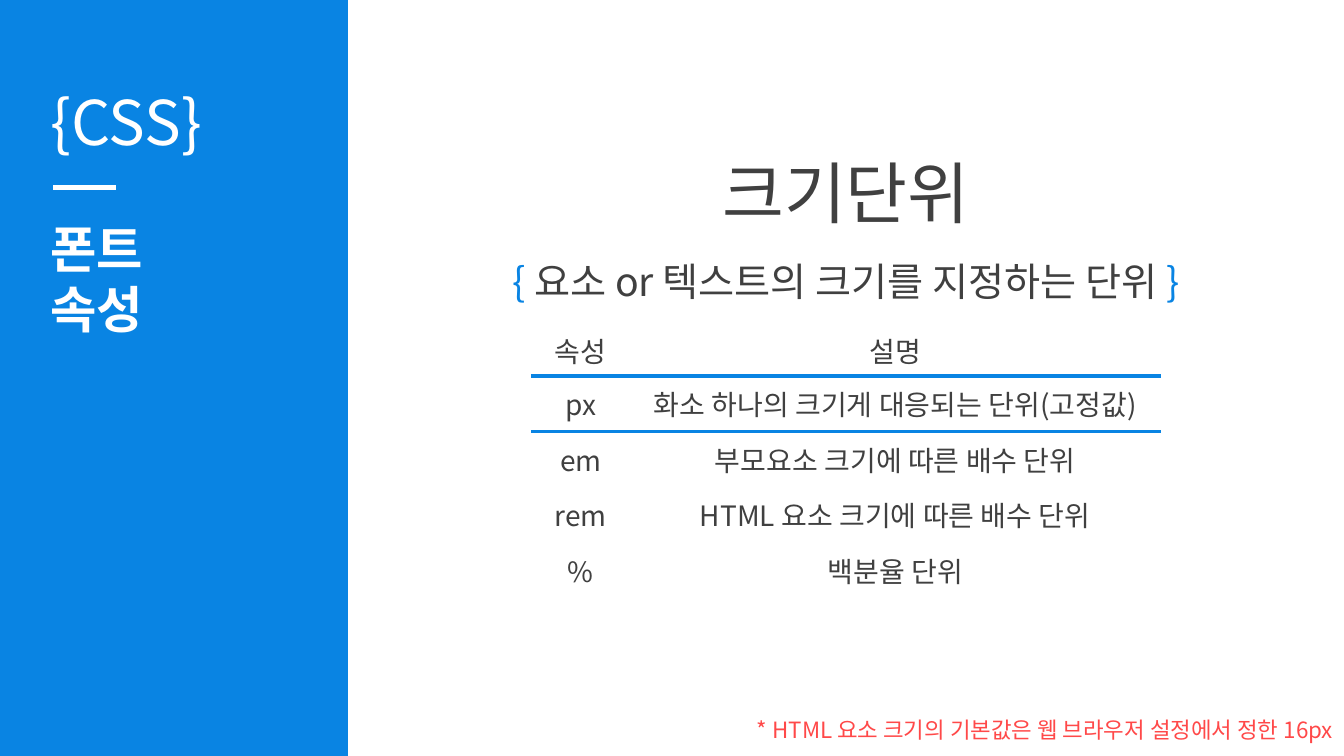
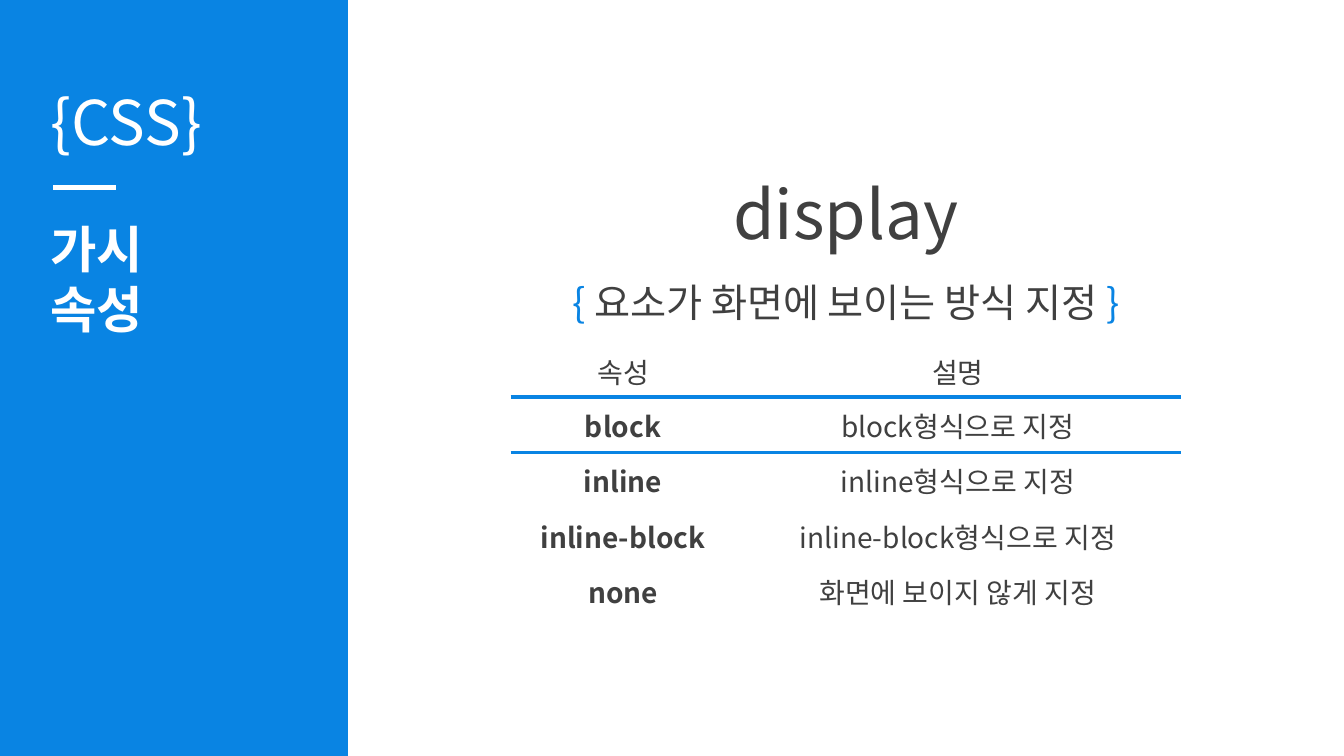
from lxml.etree import SubElement
from pptx import Presentation
from pptx.dml.color import RGBColor
from pptx.enum.shapes import MSO_CONNECTOR as Line, MSO_SHAPE as Shape
from pptx.enum.text import MSO_ANCHOR as Anchor, MSO_AUTO_SIZE as Fit, PP_ALIGN as Align
from pptx.oxml import parse_xml
from pptx.oxml.ns import nsdecls, qn
from pptx.util import Inches, Pt

BLUE = RGBColor(0x09, 0x84, 0xE3)
WHITE = RGBColor(0xFF, 0xFF, 0xFF)
GRAY = RGBColor(0x40, 0x40, 0x40)
RED = RGBColor(0xFF, 0x49, 0x49)
FONT = "Noto Sans CJK KR"
WIDE, HIGH, BAND = 13.33, 7.5, 3.45


def add_run(para, text, size, color, bold=False):
    """Add one run with the deck font for Latin and Korean letters."""
    run = para.add_run()
    run.text = text
    font = run.font
    font.name, font.size, font.bold = FONT, Pt(size), bold
    font.color.rgb = color
    SubElement(font._element, qn("a:ea"), typeface=FONT)


def place(shape, left, top, width, height):
    """Move a shape to a box given in inches."""
    shape.left, shape.top = Inches(left), Inches(top)
    shape.width, shape.height = Inches(width), Inches(height)


def fill_text(shape, lines, size, align=Align.LEFT, bold=False):
    """Write lines, each a list of text and colour pairs."""
    frame = shape.text_frame
    frame.word_wrap, frame.auto_size = True, Fit.NONE
    frame.vertical_anchor = Anchor.TOP
    for i, parts in enumerate(lines):
        para = frame.add_paragraph() if i else frame.paragraphs[0]
        para.alignment, para.space_before = align, Pt(0)
        for text, color in parts:
            add_run(para, text, size, color, bold)


def add_label(slide, box, lines, size, **style):
    """Add a text box at the given box."""
    shape = slide.shapes.add_textbox(*map(Inches, box))
    fill_text(shape, lines, size, **style)


def add_band(slide, topic, left=0, top=0):
    """Draw the blue side band with its heading and topic."""
    band = slide.shapes.add_shape(
        Shape.RECTANGLE, *map(Inches, (left, top, BAND, HIGH)))
    band.shadow.inherit = False
    band.fill.solid()
    band.fill.fore_color.rgb = BLUE
    band.line.fill.background()
    y = top + 1.86
    rule = slide.shapes.add_connector(
        Line.STRAIGHT, *map(Inches, (left + 0.53, y, left + 1.15, y)))
    rule.line.color.rgb, rule.line.width = WHITE, Pt(3)
    SubElement(rule._element.spPr, qn("a:effectLst"))
    add_label(slide, (left + 0.4, top + 0.78, 2.6, 0.84), [[("{CSS}", WHITE)]], 44)
    add_label(slide, (left + 0.4, top + 2.11, 2.6, 1.31),
              [[(word, WHITE)] for word in topic], 36, bold=True)


def add_edge(cell, side):
    """Draw a blue border on one side of a cell."""
    cell._tc.get_or_add_tcPr().insert(0, parse_xml(
        f'<a:{side} {nsdecls("a")} w="{Pt(3)}"><a:solidFill>'
        f'<a:srgbClr val="{BLUE}"/></a:solidFill></a:{side}>'))


def add_grid(slide, left, top, cols, rows, bold):
    """Add the table with a ruled header row."""
    shape = slide.shapes.add_table(
        len(rows), len(cols), Inches(left), Inches(top),
        Inches(sum(cols)), Inches(0.51 + 0.55 * (len(rows) - 1)))
    grid = shape.table
    grid.first_row = grid.horz_banding = False
    for col, width in zip(grid.columns, cols):
        col.width = Inches(width)
    for r, row in enumerate(rows):
        grid.rows[r].height = Inches(0.55 if r else 0.51)
        for c, text in enumerate(row):
            cell = grid.cell(r, c)
            cell.fill.background()
            cell.vertical_anchor = Anchor.MIDDLE
            cell.margin_left = cell.margin_right = Inches(0.08)
            cell.margin_top = cell.margin_bottom = Inches(0.04)
            para = cell.text_frame.paragraphs[0]
            para.alignment = Align.CENTER
            add_run(para, text, 20, GRAY, bold and r > 0 and c == 0)
            if r < 2:
                add_edge(cell, "lnT" if r else "lnB")


def add_main(slide, left, top, width, title, brief, cols, rows, bold=False):
    """Place title, summary and table centred in a column."""
    head, sub = slide.shapes.title, slide.placeholders[1]
    place(head, left, top, width, 0.91)
    fill_text(head, [[(title, GRAY)]], 48, Align.CENTER)
    place(sub, left, top + 1.05, width, 0.57)
    parts = [("{ ", BLUE), (brief + " ", GRAY), ("}", BLUE)]
    fill_text(sub, [parts], 28, Align.CENTER)
    add_grid(slide, left + (width - sum(cols)) / 2, top + 1.77, cols, rows, bold)


def add_page(deck, topic, top, **main):
    """Add one slide with the band and its main part."""
    slide = deck.slides.add_slide(deck.slide_layouts[0])
    add_band(slide, topic)
    add_main(slide, BAND, top, WIDE - BAND, **main)
    return slide


def main():
    """Build and save the deck."""
    deck = Presentation()
    deck.slide_width, deck.slide_height = Inches(WIDE), Inches(HIGH)
    names = ("속성", "설명")
    page = add_page(
        deck, ("폰트", "속성"), 1.45, title="크기단위",
        brief="요소 or 텍스트의 크기를 지정하는 단위", cols=(0.98, 5.26),
        rows=[names,
              ("px", "화소 하나의 크기게 대응되는 단위(고정값)"),
              ("em", "부모요소 크기에 따른 배수 단위"),
              ("rem", "HTML 요소 크기에 따른 배수 단위"),
              ("%", "백분율 단위")])
    note = "* HTML 요소 크기의 기본값은 웹 브라우저 설정에서 정한 16px"
    add_label(page, (7.18, 7.06, 6.14, 0.37), [[(note, RED)]], 16, align=Align.RIGHT)
    kinds = ("block", "inline", "inline-block")
    add_page(
        deck, ("가시", "속성"), 1.66, title="display",
        brief="요소가 화면에 보이는 방식 지정", cols=(2.22, 4.42), bold=True,
        rows=[names, *((kind, kind + "형식으로 지정") for kind in kinds),
              ("none", "화면에 보이지 않게 지정")])
    deck.save("out.pptx")


if __name__ == "__main__":
    main()
